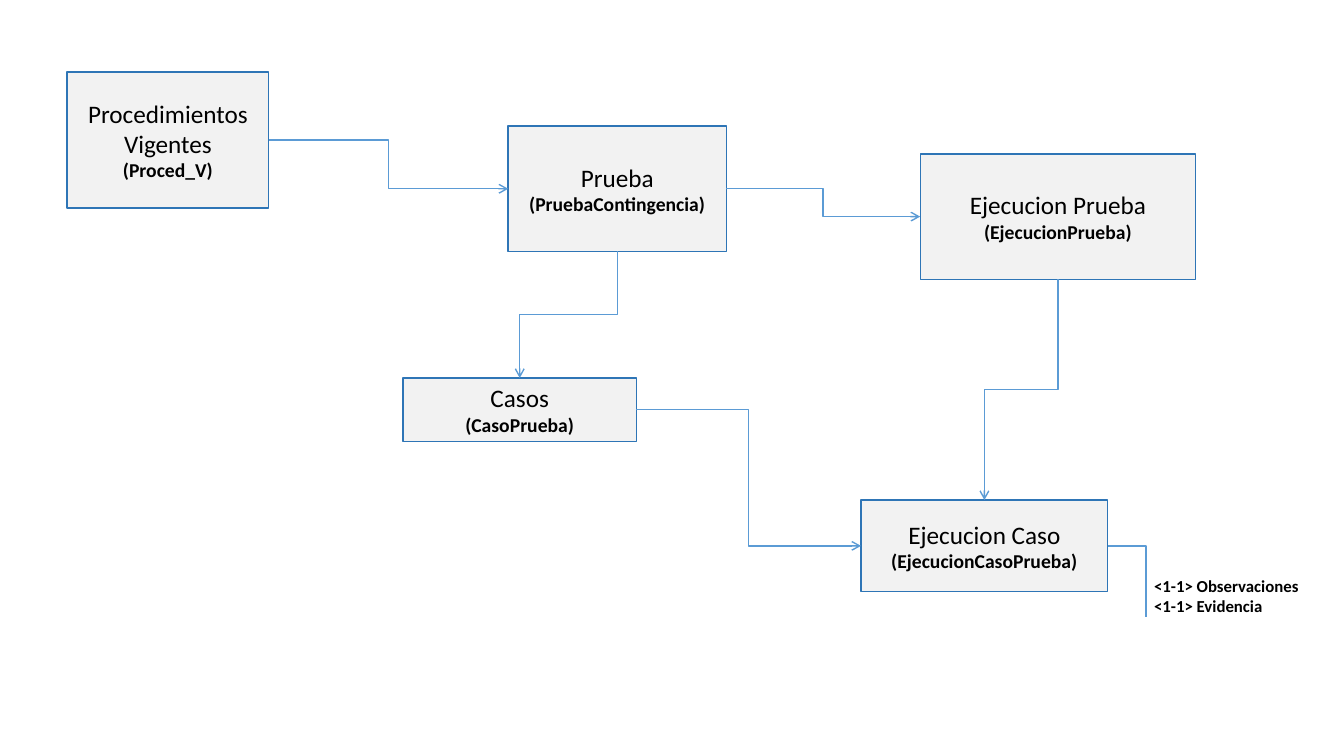
from lxml.etree import SubElement
from pptx import Presentation
from pptx.dml.color import RGBColor
from pptx.enum.shapes import MSO_CONNECTOR as Connector, MSO_SHAPE as Shape
from pptx.enum.text import MSO_ANCHOR as Anchor, PP_ALIGN as Align
from pptx.oxml.ns import qn
from pptx.util import Pt

FONT = "Calibri"
COLORS = {"box": "F2F2F2", "border": "2E75B6", "arrow": "5B9BD5", "text": "000000"}

ENTITIES = {
    "Proced_V": ("Procedimientos Vigentes", 48, 51.3, 144, 97.2),
    "EjecucionCasoPrueba": ("Ejecucion Caso", 615, 357.2, 176.3, 65.5),
    "PruebaContingencia": ("Prueba", 363, 90.1, 155.8, 89.5),
    "CasoPrueba": ("Casos", 288, 270, 166.5, 45.2),
    "EjecucionPrueba": ("Ejecucion Prueba", 657.3, 110, 196.8, 89.5),
}
ACROSS, DOWN = "across", "down"
SITES = {ACROSS: (3, 1), DOWN: (2, 0)}
RELATIONS = [
    ("Proced_V", "PruebaContingencia", ACROSS),
    ("PruebaContingencia", "CasoPrueba", DOWN),
    ("PruebaContingencia", "EjecucionPrueba", ACROSS),
    ("EjecucionPrueba", "EjecucionCasoPrueba", DOWN),
    ("CasoPrueba", "EjecucionCasoPrueba", ACROSS),
]
ATTRIBUTES = ["<1-1> Observaciones", "<1-1> Evidencia"]
ATTRIBUTES_AREA = (817.3, 407.4, 139, 36.3)
BRANCH_SIZE = (27.4, 50.5)


def color(name):
    return RGBColor.from_string(COLORS[name])


def write_lines(frame, lines, align):
    frame.word_wrap = True
    for index, (words, size, bold) in enumerate(lines):
        paragraph = frame.paragraphs[0] if index == 0 else frame.add_paragraph()
        paragraph.alignment = align
        run = paragraph.add_run()
        run.text = words
        run.font.name, run.font.size, run.font.bold = FONT, Pt(size), bold
        run.font.color.rgb = color("text")


def add_entity(slide, code, label, *area):
    box = slide.shapes.add_shape(Shape.RECTANGLE, *map(Pt, area))
    box.shadow.inherit = False
    box.fill.solid()
    box.fill.fore_color.rgb = color("box")
    box.line.color.rgb = color("border")
    box.line.width = Pt(1)
    box.text_frame.vertical_anchor = Anchor.MIDDLE
    write_lines(box.text_frame, [(label, 18, False), (f"({code})", 14, True)], Align.CENTER)
    return box


def add_elbow(slide, x1=0, y1=0, x2=0, y2=0):
    elbow = slide.shapes.add_connector(Connector.ELBOW, x1, y1, x2, y2)
    elbow.line.color.rgb = color("arrow")
    elbow.line.width = Pt(1)
    SubElement(elbow._element.spPr, qn("a:effectLst"))
    return elbow


def turn_down(elbow):
    width, height = elbow.width, elbow.height
    elbow.left += (width - height) // 2
    elbow.top += (height - width) // 2
    elbow.width, elbow.height = height, width
    xfrm = elbow._element.spPr.find(qn("a:xfrm"))
    xfrm.attrib.pop("flipH", None)
    xfrm.set("rot", "5400000")


def add_relation(slide, source, target, direction):
    arrow = add_elbow(slide)
    start_site, end_site = SITES[direction]
    arrow.begin_connect(source, start_site)
    arrow.end_connect(target, end_site)
    if direction == DOWN:
        turn_down(arrow)
    SubElement(arrow.line._get_or_add_ln(), qn("a:tailEnd"), type="arrow")


def add_attributes(slide, owner):
    x, y = owner.left + owner.width, owner.top + owner.height // 2
    width, height = map(Pt, BRANCH_SIZE)
    branch = add_elbow(slide, x, y, x + width, y + height)
    branch._element.spPr.find(qn("a:prstGeom")).set("prst", "bentConnector2")
    note = slide.shapes.add_textbox(*map(Pt, ATTRIBUTES_AREA))
    write_lines(note.text_frame, [(words, 12, True) for words in ATTRIBUTES], Align.LEFT)


def main():
    deck = Presentation()
    deck.slide_width, deck.slide_height = Pt(960), Pt(540)
    slide = deck.slides.add_slide(deck.slide_layouts[6])
    boxes = {code: add_entity(slide, code, *entity) for code, entity in ENTITIES.items()}
    for source, target, direction in RELATIONS:
        add_relation(slide, boxes[source], boxes[target], direction)
    add_attributes(slide, boxes["EjecucionCasoPrueba"])
    deck.save("out.pptx")


if __name__ == "__main__":
    main()
